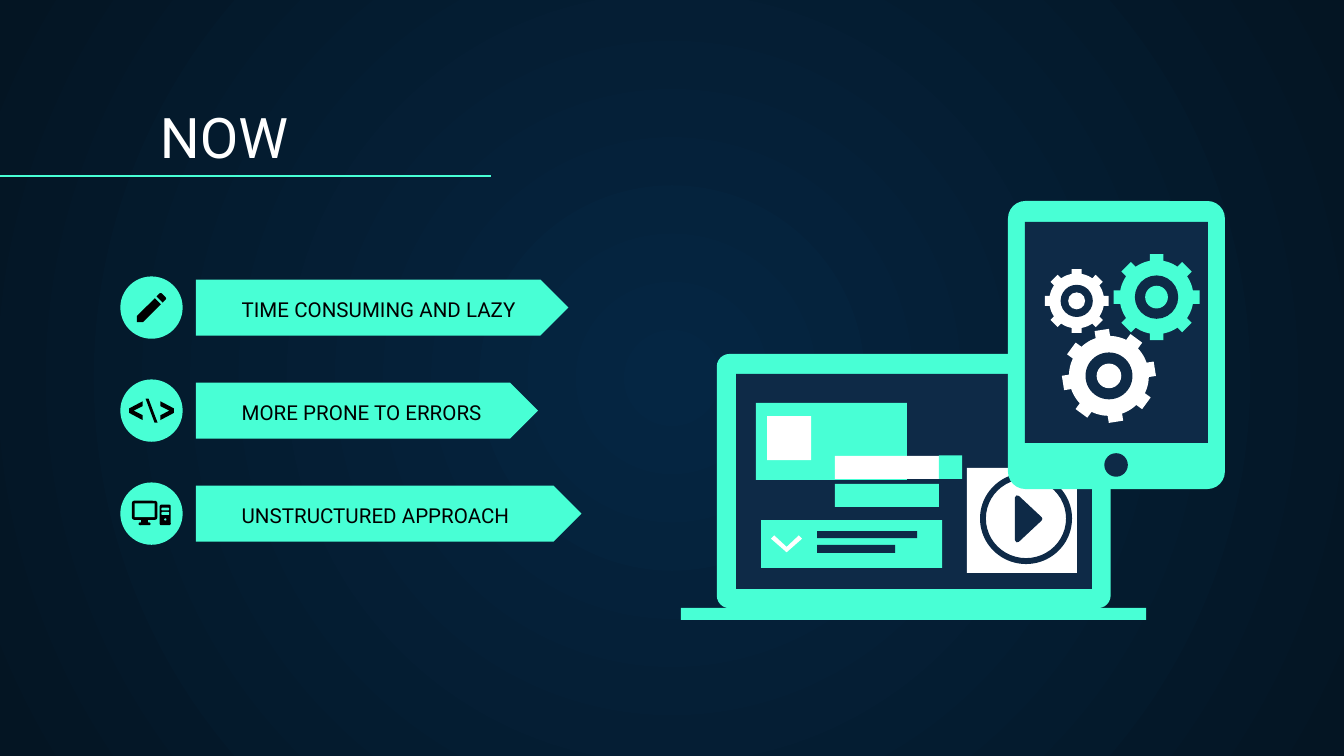
from dataclasses import dataclass
from math import asin, cos, pi, radians, sin, sqrt
from typing import Callable, Optional

from lxml import etree
from pptx import Presentation
from pptx.dml.color import RGBColor
from pptx.enum import shapes as kinds, text as modes
from pptx.oxml.ns import qn
from pptx.util import Pt

MINT = RGBColor(0x48, 0xFF, 0xD5)
NAVY = RGBColor(0x0E, 0x2A, 0x47)
GLOW = RGBColor(0x05, 0x26, 0x43)
NIGHT = RGBColor(0x04, 0x15, 0x23)
WHITE = RGBColor(0xFF, 0xFF, 0xFF)
BLACK = RGBColor(0, 0, 0)

FORM = kinds.MSO_SHAPE
FONT = "Roboto"
INSET = 7.2
ICON_X = 81.2
FIRST_ROW_Y = 164.8
ROW_STEP = 55.2
BADGE_SIZE = 33.4
ARROW_HEIGHT = 30
TEETH = 8

Points = list[tuple[float, float]]


@dataclass
class Block:
    left: float
    top: float
    width: float
    height: float
    color: RGBColor
    form: FORM = FORM.RECTANGLE
    adjust: Optional[float] = None


@dataclass
class Gear:
    x: float
    y: float
    radius: float
    color: RGBColor
    tilt: float = 0


@dataclass
class Row:
    label: str
    arrow_width: float
    draw_icon: Callable[[float, float], None]


def finish(shape, color: RGBColor) -> None:
    """Give a shape a flat fill, no outline and no shadow."""
    shape.shadow.inherit = False
    shape.fill.solid()
    shape.fill.fore_color.rgb = color
    shape.line.fill.background()


def draw_block(block: Block, x: float = 0, y: float = 0):
    """Draw a block, its place counted from x, y."""
    shape = page.shapes.add_shape(block.form, Pt(x + block.left), Pt(y + block.top),
                                  Pt(block.width), Pt(block.height))
    if block.adjust is not None:
        shape.adjustments[0] = block.adjust
    finish(shape, block.color)
    return shape


def draw_disc(x: float, y: float, radius: float, color: RGBColor) -> None:
    draw_block(Block(x - radius, y - radius, 2 * radius, 2 * radius, color, FORM.OVAL))


def draw_polygon(points: Points, color: RGBColor, x: float = 0, y: float = 0):
    corners = [(Pt(x + px), Pt(y + py)) for px, py in points]
    builder = page.shapes.build_freeform(*corners[0])
    builder.add_line_segments(corners[1:], close=True)
    shape = builder.convert_to_shape()
    finish(shape, color)
    return shape


def draw_gear(gear: Gear) -> None:
    body, half_tooth = 0.86 * gear.radius, 0.157 * gear.radius
    base, spread = sqrt(body ** 2 - half_tooth ** 2), asin(half_tooth / body)
    pitch = 2 * pi / TEETH
    outline: Points = []
    for tooth in range(TEETH):
        angle = radians(gear.tilt) + tooth * pitch
        outline += [(out * cos(angle) - side * sin(angle), out * sin(angle) + side * cos(angle))
                    for out, side in [(base, -half_tooth), (gear.radius, -half_tooth),
                                      (gear.radius, half_tooth), (base, half_tooth)]]
        for step in range(1, 6):
            turn = angle + spread + (pitch - 2 * spread) * step / 6
            outline.append((body * cos(turn), body * sin(turn)))
    draw_polygon(outline, gear.color, gear.x, gear.y)
    draw_disc(gear.x, gear.y, 0.505 * gear.radius, NAVY)
    draw_disc(gear.x, gear.y, 0.265 * gear.radius, gear.color)


def draw_pencil(x: float, y: float) -> None:
    draw_polygon([(-7.8, 4.5), (-7.8, 7.8), (-4.5, 7.8), (5, -1.8), (1.8, -5)], BLACK, x, y)
    draw_polygon([(7.6, -4.3), (7.8, -4.9), (7.6, -5.5), (5.5, -7.6), (4.9, -7.8),
                  (4.3, -7.6), (2.7, -6), (6, -2.7)], BLACK, x, y)


def draw_code(x: float, y: float) -> None:
    bracket = [(4.8, 5), (12, 1.2), (12, -1.2), (4.8, -5), (4.8, -2.4), (9.6, 0), (4.8, 2.4)]
    for side in (-1, 1):
        draw_polygon([(side * px, py) for px, py in bracket], BLACK, x, y)
    draw_polygon([(-3.2, -6.4), (-1.6, -6.4), (3.2, 6.4), (1.6, 6.4)], BLACK, x, y)


def draw_computer(x: float, y: float) -> None:
    for part in [
        Block(-10.5, -6.9, 13.6, 10.2, BLACK, FORM.ROUNDED_RECTANGLE, 0.13),
        Block(-9.1, -5.5, 10.8, 7.4, MINT),
        Block(-5.6, 3.2, 3.6, 1.8, BLACK),
        Block(-6.9, 4.7, 6.4, 1.5, BLACK, FORM.ROUNDED_RECTANGLE, 0.5),
        Block(4.4, -4.8, 5.9, 11, BLACK, FORM.ROUNDED_RECTANGLE, 0.13),
        Block(5.3, -3.2, 4.1, 1.4, MINT, FORM.ROUNDED_RECTANGLE, 0.3),
        Block(5.3, -0.9, 4.1, 1.6, MINT, FORM.ROUNDED_RECTANGLE, 0.3),
        Block(6.8, 2.5, 1.2, 1.2, MINT, FORM.OVAL),
    ]:
        draw_block(part, x, y)


def write(box, content: str, *, size: float, color: RGBColor) -> None:
    frame = box.text_frame
    frame.word_wrap = True
    frame.auto_size = modes.MSO_AUTO_SIZE.NONE
    frame.vertical_anchor = modes.MSO_ANCHOR.BOTTOM
    frame.margin_left = frame.margin_right = Pt(INSET)
    frame.margin_top = frame.margin_bottom = Pt(INSET)
    para = frame.paragraphs[0]
    para.alignment = modes.PP_ALIGN.LEFT
    span = para.add_run()
    span.text = content
    span.font.name, span.font.size, span.font.color.rgb = FONT, Pt(size), color


def paint_background() -> None:
    """Fill the page with a gradient that spreads from its centre."""
    fill = page.background.fill
    fill.gradient()
    for stop, color, position in zip(fill.gradient_stops, (GLOW, NIGHT), (0, 1)):
        stop.color.rgb, stop.position = color, position
    line = next(page.element.iter(qn("a:lin")))
    circle = etree.Element(qn("a:path"), {"path": "circle"})
    etree.SubElement(circle, qn("a:fillToRect"), {side: "50000" for side in "ltrb"})
    line.getparent().replace(line, circle)


deck = Presentation()
deck.slide_width, deck.slide_height = Pt(720), Pt(405)
page = deck.slides.add_slide(deck.slide_layouts[5])
paint_background()

title = page.shapes.title
title.left, title.top, title.width, title.height = Pt(78.5), Pt(50.4), Pt(617), Pt(47.5)
write(title, "NOW", size=30, color=WHITE)
rule = page.shapes.add_connector(kinds.MSO_CONNECTOR.STRAIGHT, 0, Pt(94.3), Pt(263), Pt(94.3))
rule.line.color.rgb, rule.line.width = MINT, Pt(0.75)
etree.SubElement(rule._element.spPr, qn("a:effectLst"))

rows = [Row("TIME CONSUMING AND LAZY", 199.5, draw_pencil),
        Row("MORE PRONE TO ERRORS", 183.3, draw_code),
        Row("UNSTRUCTURED APPROACH", 206.5, draw_computer)]
for index, row in enumerate(rows):
    middle = FIRST_ROW_Y + index * ROW_STEP
    draw_block(Block(105, middle - ARROW_HEIGHT / 2, row.arrow_width, ARROW_HEIGHT,
                     MINT, FORM.PENTAGON, 0.5))
    label = page.shapes.add_textbox(Pt(122.4), Pt(middle - 0.6), Pt(163.4), Pt(15.1))
    write(label, row.label, size=11, color=BLACK)
    draw_disc(ICON_X, middle, BADGE_SIZE / 2, MINT)
    row.draw_icon(ICON_X, middle)

laptop = [
    Block(384, 189.6, 211, 136.2, MINT, FORM.ROUNDED_RECTANGLE, 0.05),
    Block(394.3, 200.3, 190.7, 115.2, NAVY),
    Block(364.8, 325.7, 249.2, 6.4, MINT),
    Block(405, 215.9, 80.9, 41.2, MINT),
    Block(410.9, 222.9, 23.6, 23.6, WHITE),
    Block(407.7, 278.6, 97, 25.7, MINT),
    Block(437.7, 284.5, 53.6, 3.8, NAVY),
    Block(437.7, 292, 41.8, 4.2, NAVY),
    Block(447.3, 259.3, 55.7, 12.3, MINT),
    Block(447.3, 244.3, 55.7, 12.3, WHITE),
    Block(503, 244, 12.4, 12.6, MINT),
    Block(518, 250.7, 58.9, 56.3, WHITE),
    Block(525, 253.4, 49.3, 48.8, NAVY, FORM.DONUT, 0.065),
]
for part in laptop:
    draw_block(part)
draw_polygon([(413, 288.6), (414.8, 286.9), (421.4, 293), (427.9, 286.9),
              (429.7, 288.6), (421.4, 295.9)], WHITE)
play = draw_polygon([(545, 266.6), (557.2, 278), (545, 289.4)], NAVY)
play.line.color.rgb, play.line.width = NAVY, Pt(2.5)

draw_block(Block(540, 107.7, 116.2, 154.3, MINT, FORM.ROUNDED_RECTANGLE, 0.08))
draw_block(Block(549.1, 118.9, 98, 118.4, NAVY))
draw_disc(597.9, 249.1, 6.3, NAVY)
for gear in [Gear(619.6, 159.2, 23, MINT), Gear(576.8, 161.2, 17.1, WHITE),
             Gear(594.1, 201.4, 24.9, WHITE, -8.8)]:
    draw_gear(gear)

deck.save("out.pptx")
